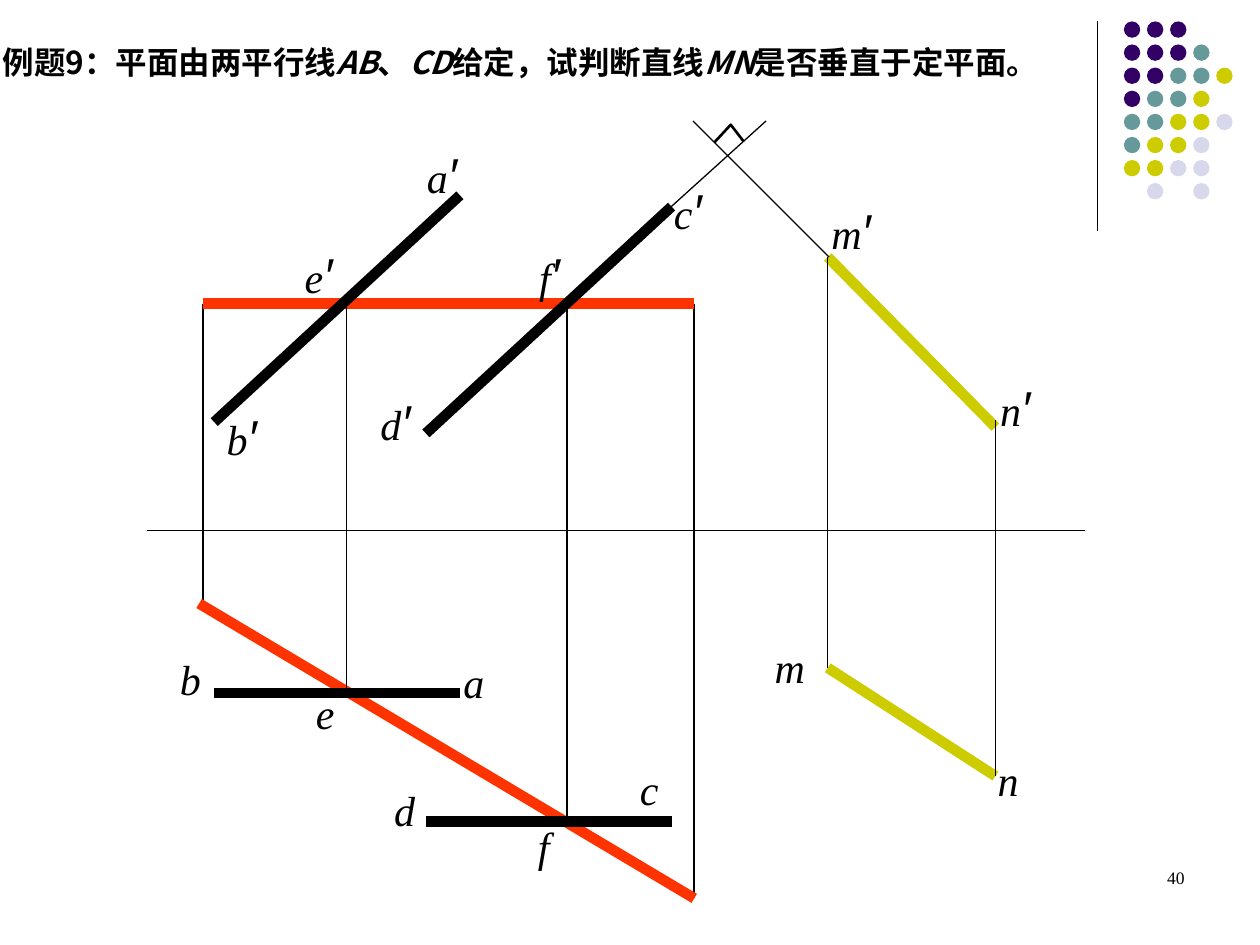
"""Builds the slide of worked example 9: is line MN perpendicular to plane ABCD?"""
import pptx
import pptx.dml.color
import pptx.enum.shapes
import pptx.enum.text
import pptx.oxml.ns
import pptx.util
from lxml import etree

Inches = pptx.util.Inches
Pt = pptx.util.Pt
RGBColor = pptx.dml.color.RGBColor
qn = pptx.oxml.ns.qn

BLACK = RGBColor(0x00, 0x00, 0x00)
RED = RGBColor(0xFF, 0x33, 0x00)
YELLOW = RGBColor(0xCC, 0xCC, 0x00)
PURPLE = RGBColor(0x33, 0x00, 0x66)
TEAL = RGBColor(0x66, 0x99, 0x99)
PALE = RGBColor(0xD8, 0xD8, 0xEC)

THIN, MEDIUM, THICK = 0.75, 1, 6

TITLE_FONT = {"name": "Noto Sans CJK SC", "size": Pt(18), "bold": True}
LETTER_FONT = {"name": "Times New Roman", "size": Pt(24), "italic": True}
PRIME_FONT = {"name": "Arial", "size": Pt(28), "italic": True}
NUMBER_FONT = {"name": "Times New Roman", "size": Pt(10)}


def add_run(p, text, fmt):
    r = p.add_run()
    r.text = text
    for key, value in fmt.items():
        setattr(r.font, key, value)
    r.font.color.rgb = BLACK
    ea = etree.SubElement(r.font._element, qn("a:ea"))
    ea.set("typeface", fmt["name"])


def add_line(shapes, x1, y1, x2, y2, color, width):
    line = shapes.add_connector(
        pptx.enum.shapes.MSO_CONNECTOR.STRAIGHT,
        Inches(x1), Inches(y1), Inches(x2), Inches(y2))
    line.line.color.rgb = color
    line.line.width = Pt(width)
    etree.SubElement(line._element.spPr, qn("a:effectLst"))


prs = pptx.Presentation()
prs.slide_width = Inches(10)
prs.slide_height = Inches(7.5)
s = prs.slides.add_slide(prs.slide_layouts[5])

add_line(s.shapes, 8.71, 0.17, 8.71, 1.83, BLACK, THIN)

dot_colors = {"P": PURPLE, "T": TEAL, "Y": YELLOW, "L": PALE}
dot_rows = ["PPP", "PPPT", "PPTTY", "PTTY", "TTYYL", "TYYL", "YYLL", " L L"]
pitch = 0.55 / 3
dots = s.shapes.add_group_shape()
for row, codes in enumerate(dot_rows):
    for col, code in enumerate(codes):
        if code in dot_colors:
            sp = dots.shapes.add_shape(
                pptx.enum.shapes.MSO_SHAPE.OVAL,
                Inches(8.92 + col * pitch), Inches(0.17 + row * pitch),
                Inches(0.13), Inches(0.13))
            sp.shadow.inherit = False
            sp.fill.solid()
            sp.fill.fore_color.rgb = dot_colors[code]
            sp.line.fill.background()

lines = [
    (1.61, 2.41, 1.61, 4.79, BLACK, MEDIUM),
    (5.51, 2.41, 5.51, 7.13, BLACK, MEDIUM),
    (1.58, 4.79, 5.51, 7.13, RED, THICK),
    (1.61, 2.41, 5.51, 2.41, RED, THICK),
    (2.75, 2.38, 2.75, 5.46, BLACK, THIN),
    (6.57, 5.3, 7.9, 6.16, YELLOW, THICK),
    (7.9, 3.39, 6.57, 2.04, YELLOW, THICK),
    (6.57, 2.04, 6.57, 5.3, BLACK, THIN),
    (7.9, 6.16, 7.9, 3.33, BLACK, THIN),
    (1.7, 3.35, 3.65, 1.55, BLACK, THICK),
    (3.38, 3.44, 5.33, 1.64, BLACK, THICK),
    (1.7, 5.5, 3.65, 5.5, BLACK, THICK),
    (3.38, 6.52, 5.33, 6.52, BLACK, THICK),
    (1.17, 4.21, 8.61, 4.21, BLACK, THIN),
    (4.5, 2.38, 4.5, 6.54, BLACK, THIN),
    (6.58, 2.04, 5.5, 0.96, BLACK, THIN),
    (5.25, 1.71, 6.08, 0.96, BLACK, THIN),
]
for line in lines:
    add_line(s.shapes, *line)

fb = s.shapes.build_freeform(Inches(5.67), Inches(1.13))
fb.add_line_segments(
    [(Inches(5.8), Inches(0.99)), (Inches(5.9), Inches(1.12))], close=False)
right_angle = fb.convert_to_shape()
right_angle.shadow.inherit = False
right_angle.fill.background()
right_angle.line.color.rgb = BLACK
right_angle.line.width = Pt(1.5)

labels = [
    ("a′", 3.29, 1.1), ("b′", 1.7, 3.18), ("c′", 5.25, 1.38), ("d′", 2.92, 3.06),
    ("e′", 2.32, 1.89), ("f′", 4.18, 1.89), ("m′", 6.5, 1.54), ("n′", 7.84, 2.95),
    ("a", 3.58, 5.16), ("b", 1.33, 5.14), ("c", 4.98, 6.01), ("d", 3.03, 6.18),
    ("e", 2.41, 5.41), ("f", 4.17, 6.46), ("m", 6.05, 5.04), ("n", 7.82, 5.94),
]
for text, x, y in labels:
    height = 0.57 if "′" in text else 0.5
    tf = s.shapes.add_textbox(
        Inches(x), Inches(y), Inches(0.76), Inches(height)).text_frame
    tf.word_wrap = True
    for char in text:
        add_run(tf.paragraphs[0], char, PRIME_FONT if char == "′" else LETTER_FONT)

title = s.shapes.title
title.left, title.top = Inches(-0.08), Inches(0.29)
title.width, title.height = Inches(8.73), Inches(0.4)
tf = title.text_frame
tf.word_wrap = True
tf.auto_size = pptx.enum.text.MSO_AUTO_SIZE.NONE
tf.vertical_anchor = pptx.enum.text.MSO_ANCHOR.TOP
p = tf.paragraphs[0]
p.alignment = pptx.enum.text.PP_ALIGN.LEFT
p.line_spacing = Pt(21.7)
title_parts = ["例题9：平面由两平行线", "AB", "、", "CD", "给定，试判断直线", "MN",
               "是否垂直于定平面。"]
for i, text in enumerate(title_parts):
    add_run(p, text, {**TITLE_FONT, "italic": i % 2 == 1})

tf = s.shapes.add_textbox(
    Inches(7.17), Inches(6.83), Inches(2.33), Inches(0.5)).text_frame
tf.word_wrap = True
tf.paragraphs[0].alignment = pptx.enum.text.PP_ALIGN.RIGHT
add_run(tf.paragraphs[0], "40", NUMBER_FONT)

prs.save("out.pptx")
